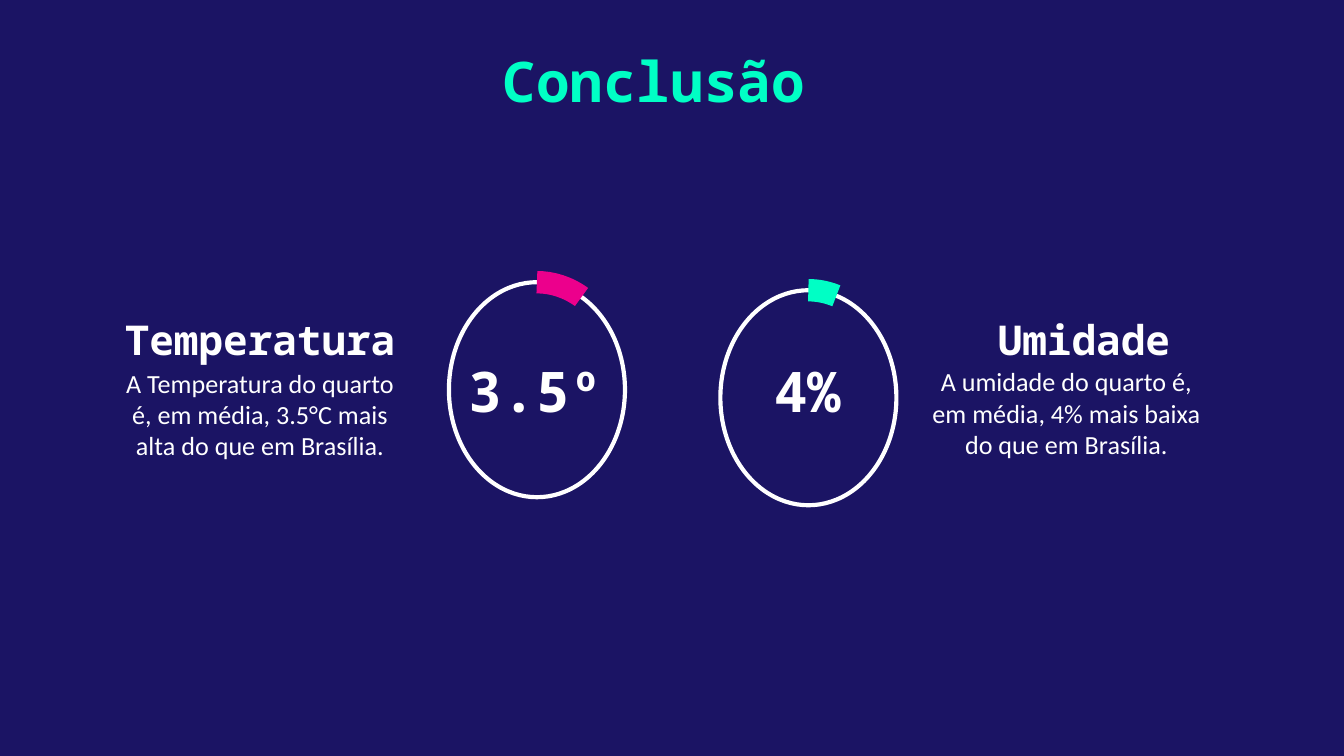
from pptx import Presentation
from pptx.dml.color import RGBColor
from pptx.enum import shapes, text
from pptx.util import Inches, Pt

NAVY, WHITE, GREEN, PINK = "1B1464", "FFFFFF", "00FFC5", "EC008C"
HEADING_FONT, BODY_FONT = "Noto Sans Mono", "Calibri"
TOP, MIDDLE, BOTTOM = (text.MSO_ANCHOR.TOP, text.MSO_ANCHOR.MIDDLE,
                       text.MSO_ANCHOR.BOTTOM)


def color(value):
    return RGBColor.from_string(value)


def add_text(parent, box, words, size, font=HEADING_FONT, fill=WHITE,
             anchor=TOP, margins=(0.1, 0.1)):
    """Centred text; margins are the top and bottom insets."""
    frame = parent.add_textbox(*map(Inches, box)).text_frame
    frame.word_wrap = True
    frame.vertical_anchor = anchor
    frame.margin_top, frame.margin_bottom = map(Inches, margins)
    paragraph = frame.paragraphs[0]
    paragraph.text = words
    paragraph.alignment = text.PP_ALIGN.CENTER
    paragraph.font.size = Pt(size)
    paragraph.font.name = font
    paragraph.font.bold = font == HEADING_FONT
    paragraph.font.color.rgb = color(fill)


def add_outline(slide, kind, box, line_color, width):
    shape = slide.shapes.add_shape(kind, *map(Inches, box))
    shape.shadow.inherit = False
    shape.fill.background()
    shape.line.color.rgb = color(line_color)
    shape.line.width = Pt(width)
    return shape


def add_ring(slide, box, accent, arc_end):
    """White ring with a thick arc clockwise from the top."""
    add_outline(slide, shapes.MSO_SHAPE.OVAL, box, WHITE, 2.25)
    arc = add_outline(slide, shapes.MSO_SHAPE.ARC, box, accent, 12)
    # Adjustments hold 60000ths of a degree, divided by 100000
    arc.adjustments[0] = 270 * 0.6
    arc.adjustments[1] = arc_end * 0.6


def add_finding(slide, left, top, heading, body, value,
                heading_x, body_box, body_margin, value_box):
    """Heading, explanation and ring value, offset from left and top."""
    group = slide.shapes.add_group_shape().shapes

    def place(x, y, width, height):
        return left + x, top + y, width, height

    add_text(group, place(*body_box), body, 14, BODY_FONT,
             margins=(body_margin, 0.1))
    add_text(group, place(heading_x, 0, 2.29, 0.71), heading, 22,
             anchor=BOTTOM)
    add_text(group, place(*value_box), value, 30, anchor=MIDDLE,
             margins=(0, 0))


def main():
    presentation = Presentation()
    # 16:9 format
    presentation.slide_width = Inches(10)
    presentation.slide_height = Inches(10) * 9 // 16
    slide = presentation.slides.add_slide(presentation.slide_layouts[6])
    slide.background.fill.solid()
    slide.background.fill.fore_color.rgb = color(NAVY)

    # Title
    add_text(slide.shapes, (0.65, 0.25, 8.43, 0.73), "Conclusão", 30,
             fill=GREEN)

    # Rings
    add_ring(slide, (3.34, 2.1, 1.31, 1.6), PINK, 295.69)
    add_ring(slide, (5.36, 2.16, 1.31, 1.6), GREEN, 285.36)

    # Temperature, with its text left of the ring
    add_finding(slide, 0.79, 2.1, "Temperatura",
                "A Temperatura do quarto é, em média, 3.5°C mais alta "
                "do que em Brasília.", "3.5º",
                heading_x=0, body_box=(0, 0.3, 2.29, 0.89), body_margin=0.33,
                value_box=(2.37, 0.42, 1.66, 0.77))

    # Humidity, with its text right of the ring
    add_finding(slide, 5.23, 2.1, "Umidade",
                "A umidade do quarto é, em média, 4% mais baixa "
                "do que em Brasília.", "4%",
                heading_x=1.69, body_box=(1.56, 0.52, 2.29, 0.89),
                body_margin=0.1, value_box=(0, 0.36, 1.56, 0.89))

    presentation.save("out.pptx")


if __name__ == "__main__":
    main()
